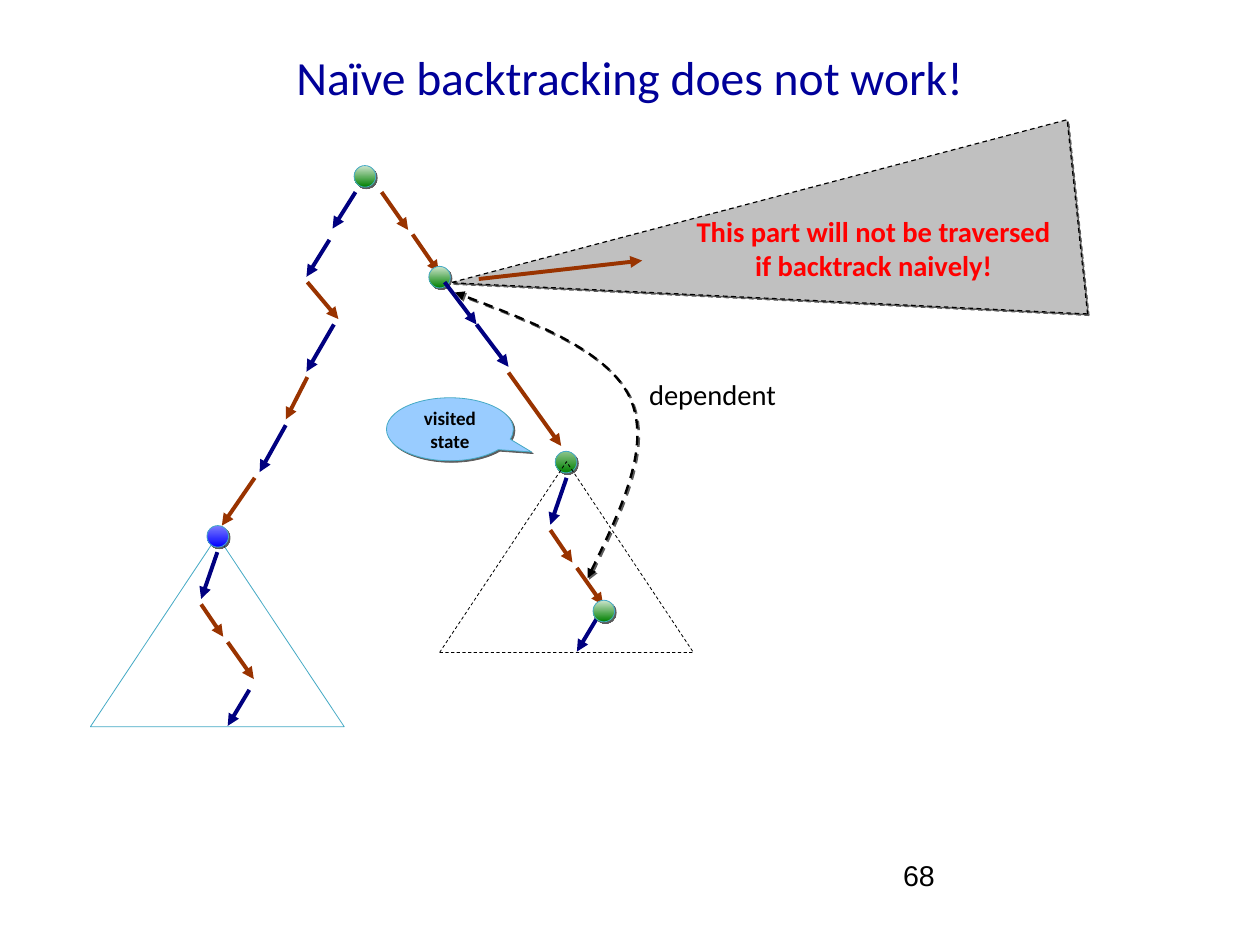
from dataclasses import dataclass

from lxml.etree import SubElement
from pptx import Presentation
from pptx.dml.color import RGBColor
from pptx.enum.dml import MSO_LINE
from pptx.enum.shapes import MSO_CONNECTOR, MSO_SHAPE
from pptx.enum.text import MSO_ANCHOR, PP_ALIGN
from pptx.oxml.ns import qn
from pptx.util import Cm, Pt


@dataclass(frozen=True)
class Theme:
    title: str = "000099"
    brown: str = "993300"
    navy: str = "000080"
    teal: str = "46AAC5"
    black: str = "000000"
    red: str = "FF0000"
    callout: str = "99CCFF"
    gray: str = "C0C0C0"
    green_node: tuple = ("CDE5CD", "008000")
    visited_node: tuple = ("8DC58D", "008000")
    blue_node: tuple = ("7C7CFE", "0000FF")
    font: str = "Calibri"
    number_font: str = "Arial"
    title_size: int = 30
    label_size: int = 18
    callout_size: int = 12


THEME = Theme()
NODE_SIZE = 0.48

# Transitions: start x, start y, end x, end y in centimetres, colour
LEFT_PATH = [
    (7.9, 4.27, 7.39, 5.08, THEME.navy),
    (7.32, 5.33, 6.81, 6.15, THEME.navy),
    (6.83, 6.27, 7.52, 7.09, THEME.brown),
    (7.42, 7.21, 6.81, 8.26, THEME.navy),
    (6.83, 8.38, 6.35, 9.32, THEME.brown),
    (6.35, 9.45, 5.77, 10.49, THEME.navy),
    (5.66, 10.62, 4.93, 11.68, THEME.brown),
]
RIGHT_PATH = [
    (8.48, 4.27, 9.07, 5.11, THEME.brown),
    (9.17, 5.21, 9.75, 6.05, THEME.brown),
    (10.59, 7.21, 11.3, 8.15, THEME.navy),
    (11.3, 8.28, 12.47, 9.91, THEME.brown),
]
# The same steps, relative to the apex, occur in both subtrees
SUBTREE_PATH = [
    (0, 0.36, -0.36, 1.4, THEME.navy),
    (-0.36, 1.52, 0.13, 2.24, THEME.brown),
    (0.23, 2.36, 0.81, 3.18, THEME.brown),
    (0.71, 3.42, 0.23, 4.22, THEME.navy),
]
# Start point followed by the control points of two Bézier segments
DEPENDENCY = [(13.06, 12.85), (13.77, 11.38), (14.48, 9.91), (14, 8.84),
              (13.51, 7.8), (11.81, 7.14), (10.11, 6.5)]


def rgb(color):
    return RGBColor.from_string(color)


def set_line(shape, color, width, dashed=False):
    shape.line.color.rgb = rgb(color)
    shape.line.width = Pt(width)
    if dashed:
        shape.line.dash_style = MSO_LINE.DASH


def add_arrowheads(shape, *ends):
    line = shape.element.spPr.find(qn("a:ln"))
    for end in ends:
        SubElement(line, qn(f"a:{end}"), type="triangle")


def add_shadow(shape):
    shape.shadow.inherit = False
    effects = shape.element.spPr.find(qn("a:effectLst"))
    shadow = SubElement(effects, qn("a:outerShdw"), dist="17780", dir="2700000")
    color = SubElement(shadow, qn("a:srgbClr"), val=THEME.black)
    SubElement(color, qn("a:alpha"), val="64000")


def format_text(text_frame, text, size, color, font=THEME.font, bold=False,
                align=PP_ALIGN.CENTER, spacing=None):
    text_frame.text = text
    for paragraph in text_frame.paragraphs:
        paragraph.alignment = align
        paragraph.line_spacing = spacing
        for run in paragraph.runs:
            run.font.name = font
            run.font.size = Pt(size)
            run.font.bold = bold
            run.font.color.rgb = rgb(color)


def add_shape(slide, kind, left, top, width, height, line, line_width,
              fill=None, dashed=False):
    shape = slide.shapes.add_shape(kind, Cm(left), Cm(top), Cm(width), Cm(height))
    shape.shadow.inherit = False
    if fill:
        shape.fill.solid()
        shape.fill.fore_color.rgb = rgb(fill)
    else:
        shape.fill.background()
    set_line(shape, line, line_width, dashed)
    return shape


def add_node(slide, left, top, colors):
    node = add_shape(slide, MSO_SHAPE.OVAL, left, top, NODE_SIZE, NODE_SIZE,
                     THEME.teal, 0.5)
    node.fill.gradient()
    node.fill.gradient_angle = 270
    for stop, color in zip(node.fill.gradient_stops, colors):
        stop.color.rgb = rgb(color)
    add_shadow(node)


def add_transitions(slide, transitions, dx=0, dy=0):
    for x1, y1, x2, y2, color in transitions:
        arrow = slide.shapes.add_connector(
            MSO_CONNECTOR.STRAIGHT, Cm(x1 + dx), Cm(y1 + dy), Cm(x2 + dx), Cm(y2 + dy))
        set_line(arrow, color, 2.5)
        add_arrowheads(arrow, "tailEnd")
        SubElement(arrow.element.spPr, qn("a:effectLst"))


def add_subtree(slide, x, y, color, dashed=False):
    half_base, height = 2.82, 4.24
    add_shape(slide, MSO_SHAPE.ISOSCELES_TRIANGLE, x - half_base, y,
              2 * half_base, height, color, 0.5, dashed=dashed)
    add_transitions(slide, SUBTREE_PATH, x, y)


def add_dependency(slide):
    points = [(Cm(x), Cm(y)) for x, y in DEPENDENCY]
    builder = slide.shapes.build_freeform(*points[0])
    builder.add_line_segments(points[1:], close=False)
    curve = builder.convert_to_shape()
    # Group every three points into one cubic segment
    segments = curve.element.findall(".//" + qn("a:lnTo"))
    outline = segments[0].getparent()
    for start in range(0, len(segments), 3):
        cubic = SubElement(outline, qn("a:cubicBezTo"))
        for segment in segments[start:start + 3]:
            cubic.append(segment[0])
            outline.remove(segment)
    curve.fill.background()
    set_line(curve, THEME.black, 1.5, dashed=True)
    add_arrowheads(curve, "headEnd", "tailEnd")
    add_shadow(curve)


def add_label(slide, left, top, width, height, text, color, **style):
    box = slide.shapes.add_textbox(Cm(left), Cm(top), Cm(width), Cm(height))
    box.text_frame.word_wrap = False
    format_text(box.text_frame, text, THEME.label_size, color, **style)
    return box


def main():
    presentation = Presentation()
    presentation.slide_width, presentation.slide_height = Cm(28), Cm(21)
    slide = presentation.slides.add_slide(presentation.slide_layouts[5])

    # Title
    title = slide.shapes.title
    title.left, title.top, title.width, title.height = Cm(1.4), Cm(0.84), Cm(25.2), Cm(1.88)
    title.text_frame.vertical_anchor = MSO_ANCHOR.MIDDLE
    format_text(title.text_frame, "Naïve backtracking does not work!",
                THEME.title_size, THEME.title, spacing=0.9)

    # Search tree
    add_transitions(slide, RIGHT_PATH)
    add_node(slide, 12.34, 10.03, THEME.visited_node)
    add_subtree(slide, 4.83, 11.91, THEME.teal)
    add_node(slide, 4.6, 11.68, THEME.blue_node)
    add_transitions(slide, LEFT_PATH)
    add_subtree(slide, 12.59, 10.26, THEME.black, dashed=True)
    for left, top in [(7.87, 3.68), (9.53, 5.92), (13.18, 13.34)]:
        add_node(slide, left, top, THEME.green_node)

    # Dependency between transitions
    add_dependency(slide)
    add_label(slide, 14.17, 8.26, 3.33, 1.02, "dependent", THEME.black)
    add_transitions(slide, [(9.88, 6.27, 10.59, 7.21, THEME.navy)])

    # Visited state callout
    callout = add_shape(slide, MSO_SHAPE.OVAL_CALLOUT, 8.59, 8.84, 2.82, 1.4,
                        THEME.teal, 0.5, THEME.callout)
    callout.adjustments[0], callout.adjustments[1] = 0.644, 0.362
    add_shadow(callout)
    callout.text_frame.word_wrap = True
    callout.text_frame.vertical_anchor = MSO_ANCHOR.MIDDLE
    format_text(callout.text_frame, "visited state", THEME.callout_size,
                THEME.black, bold=True)

    # Part that is never traversed
    missed = add_shape(slide, MSO_SHAPE.ISOSCELES_TRIANGLE, 14.81, -1.45, 4.34, 14,
                       THEME.black, 0.75, THEME.gray, dashed=True)
    missed.rotation = 264
    add_shadow(missed)
    add_transitions(slide, [(10.64, 6.2, 14.27, 5.79, THEME.brown)])
    add_label(slide, 15.21, 4.62, 8.41, 1.78,
              "This part will not be traversed\nif backtrack naively!",
              THEME.red, bold=True)

    # Slide number
    number = add_label(slide, 20.07, 19.13, 6.5, 1.45, "68", THEME.black,
                       font=THEME.number_font, align=PP_ALIGN.LEFT, spacing=0.93)
    frame = number.text_frame
    frame.word_wrap = True
    frame.margin_left = frame.margin_top = frame.margin_right = frame.margin_bottom = 0

    presentation.save("out.pptx")


if __name__ == "__main__":
    main()
